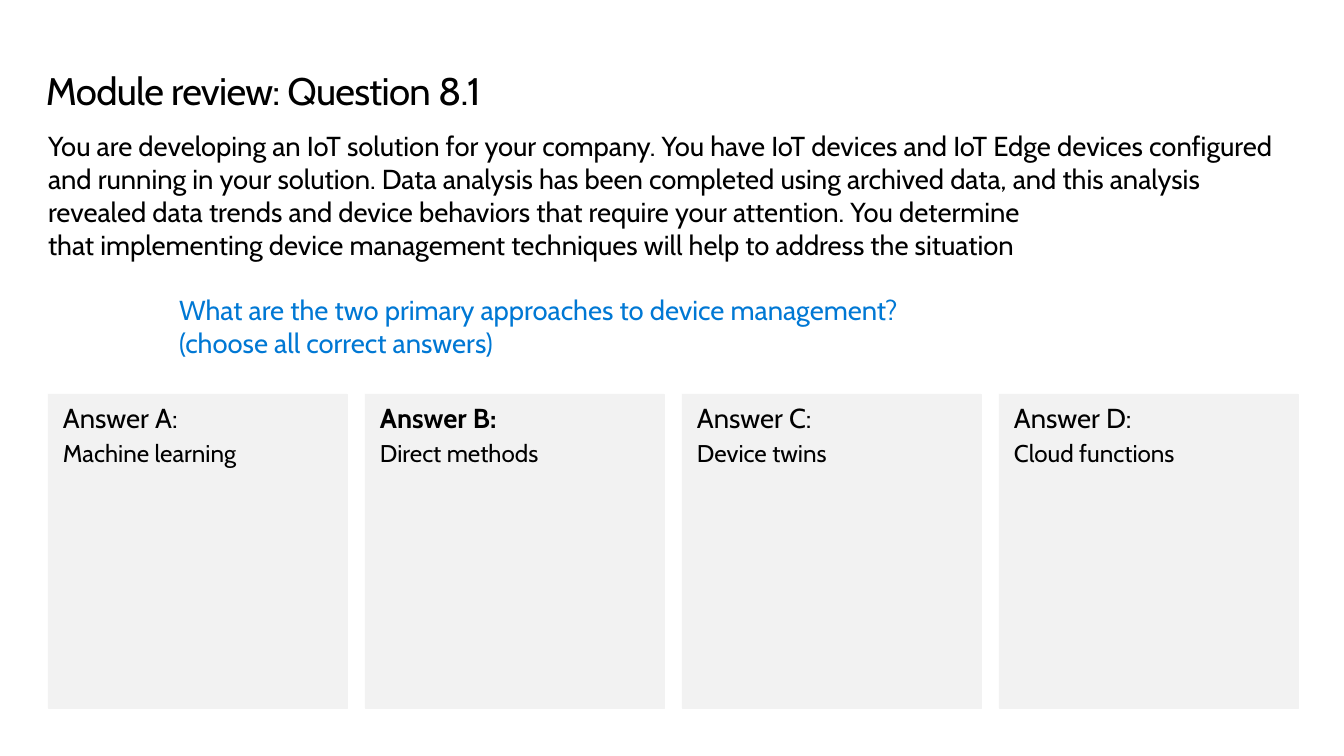
"""Build the module review slide with its question and four answer cards."""
from dataclasses import dataclass

from pptx import Presentation
from pptx import util as u
from pptx.dml.color import RGBColor
from pptx.enum import shapes, text

TITLE = "Module review: Question 8.1"
PASSAGES = [
    ("You are developing an IoT solution for your company. You have IoT devices and IoT Edge "
     "devices configured and running in your solution. Data analysis has been completed using "
     "archived data, and this analysis revealed data trends and device behaviors that require "
     "your attention. You determine \vthat implementing device management techniques will help "
     "to address the situation", (48, 129, 1251, 133), "ink"),
    ("What are the two primary approaches to device management? \v(choose all correct answers)",
     (179, 293, 1132, 67), "accent"),
]
ANSWERS = [
    ("Answer A:", "Machine learning", False),
    ("Answer B:", "Direct methods", True),
    ("Answer C:", "Device twins", False),
    ("Answer D:", "Cloud functions", False),
]
SLIDE_SIZE = (1344, 756)
TITLE_BOX = (46, 69, 1251, 44)
CARD_LEFT, CARD_TOP, CARD_WIDTH, CARD_HEIGHT, CARD_GAP = 48, 394, 299, 314, 18
CARD_INSETS = (15, 7, 20, 7)
EMU_PER_PX = 914400 / 100.8


@dataclass(frozen=True)
class Theme:
    font: str = "Cabin"
    ink: RGBColor = RGBColor(0x00, 0x00, 0x00)
    accent: RGBColor = RGBColor(0x00, 0x78, 0xD4)
    card: RGBColor = RGBColor(0xF2, 0xF2, 0xF2)
    title_size: float = 27.4
    body_size: float = 19.6
    answer_size: float = 17.3


THEME = Theme()


def px(length):
    return u.Emu(round(length * EMU_PER_PX))


def prepare_frame(box, insets=(0, 0, 0, 0)):
    frame = box.text_frame
    frame.word_wrap = True
    frame.auto_size = text.MSO_AUTO_SIZE.NONE
    frame.vertical_anchor = text.MSO_ANCHOR.TOP
    frame.margin_left, frame.margin_top, frame.margin_right, frame.margin_bottom = map(px, insets)
    return frame


def format_para(para, size, color, bold=False):
    para.alignment = text.PP_ALIGN.LEFT
    for span in para.runs:
        span.font.name = THEME.font
        span.font.size = u.Pt(size)
        span.font.color.rgb = color
        span.font.bold = bold


def add_title(slide):
    title = slide.shapes.title
    title.left, title.top, title.width, title.height = map(px, TITLE_BOX)
    frame = prepare_frame(title)
    frame.text = TITLE
    para = frame.paragraphs[0]
    para.line_spacing = u.Pt(31.4)
    format_para(para, THEME.title_size, THEME.ink)
    para.runs[0].font._element.set("spc", "-50")


def add_passage(slide, wording, place, color):
    frame = prepare_frame(slide.shapes.add_textbox(*map(px, place)))
    frame.text = wording
    format_para(frame.paragraphs[0], THEME.body_size, getattr(THEME, color))


def add_card(slide, index, label, answer, bold):
    left = CARD_LEFT + index * (CARD_WIDTH + CARD_GAP)
    place = map(px, (left, CARD_TOP, CARD_WIDTH, CARD_HEIGHT))
    card = slide.shapes.add_shape(shapes.MSO_SHAPE.RECTANGLE, *place)
    card.shadow.inherit = False
    card.fill.solid()
    card.fill.fore_color.rgb = THEME.card
    card.line.color.rgb = THEME.card
    card.line.width = u.Pt(0.5)
    frame = prepare_frame(card, CARD_INSETS)
    frame.text = f"{label}\n{answer}"
    heading, detail = frame.paragraphs
    format_para(heading, THEME.body_size, THEME.ink, bold)
    format_para(detail, THEME.answer_size, THEME.ink)
    detail.space_before = u.Pt(2.9)


def main():
    deck = Presentation()
    deck.slide_width, deck.slide_height = map(px, SLIDE_SIZE)
    slide = deck.slides.add_slide(deck.slide_layouts[5])
    add_title(slide)
    for passage in PASSAGES:
        add_passage(slide, *passage)
    for index, answer in enumerate(ANSWERS):
        add_card(slide, index, *answer)
    deck.save("out.pptx")


if __name__ == "__main__":
    main()
